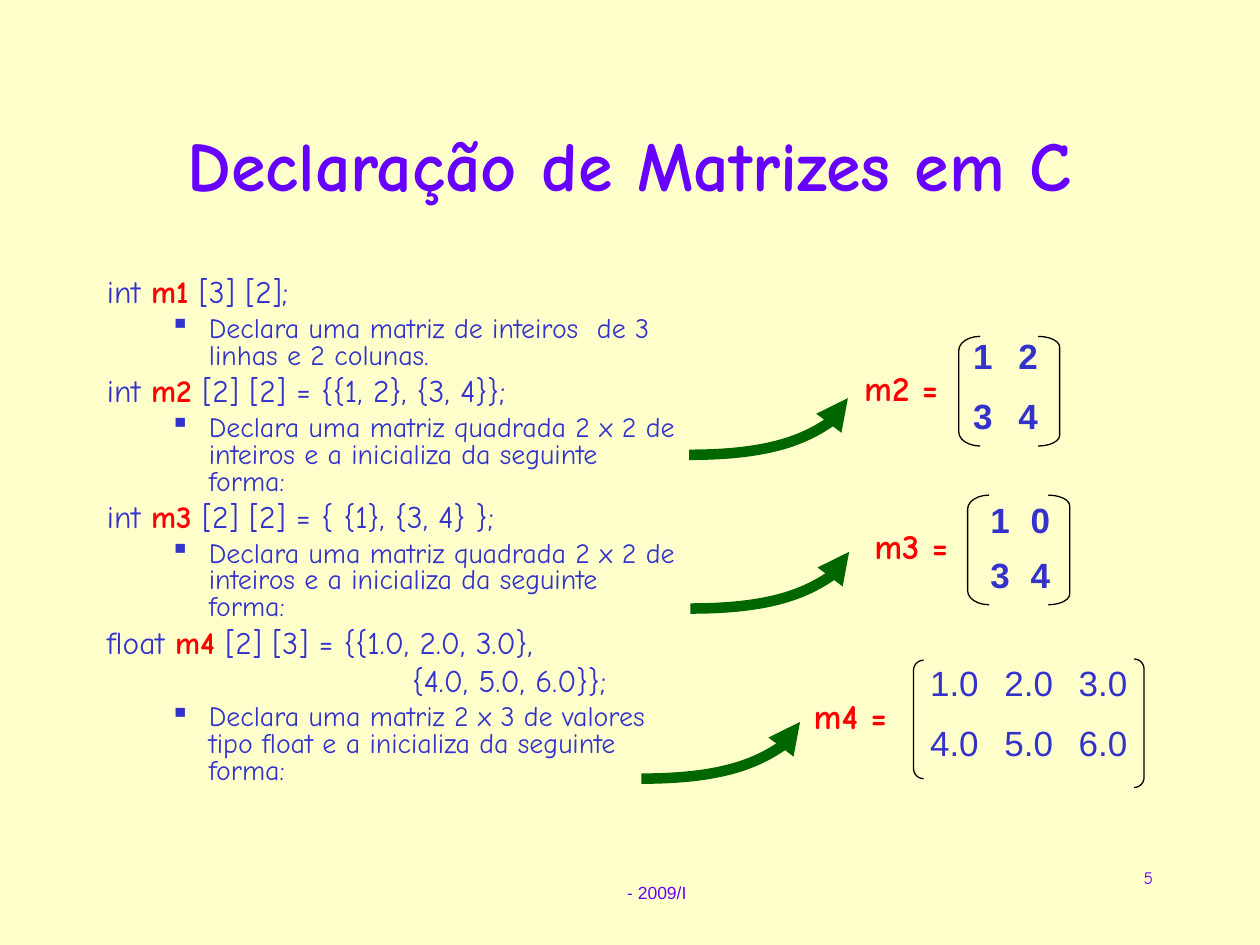
from lxml import etree
from pptx import Presentation
from pptx.dml.color import RGBColor
from pptx.enum.shapes import MSO_CONNECTOR, MSO_SHAPE
from pptx.enum.text import MSO_ANCHOR, PP_ALIGN
from pptx.oxml.ns import qn
from pptx.util import Inches, Pt

CREAM = RGBColor(0xFF, 0xFF, 0xCC)
PURPLE = RGBColor(0x66, 0x00, 0xFF)
BLUE = RGBColor(0x33, 0x33, 0xCC)
RED = RGBColor(0xFF, 0x00, 0x00)
GREEN = RGBColor(0x00, 0x66, 0x00)
BLACK = RGBColor(0x00, 0x00, 0x00)

LEFT, CENTER, RIGHT = PP_ALIGN.LEFT, PP_ALIGN.CENTER, PP_ALIGN.RIGHT
MIDDLE = MSO_ANCHOR.MIDDLE
CURVE = MSO_CONNECTOR.CURVE
LEFT_BRACKET, RIGHT_BRACKET = MSO_SHAPE.LEFT_BRACKET, MSO_SHAPE.RIGHT_BRACKET
HAND, SANS = "Comic Neue", "Arial"
NO_TABLE_STYLE = "{2D5ABB26-0587-4C30-8999-92F81FD0307C}"


def add_span(para, text, size, color, bold=False, font=HAND):
    span = para.add_run()
    span.text = text
    span.font.name = font
    span.font.size = Pt(size)
    span.font.bold = bold
    span.font.color.rgb = color


def add_box(left, top, width, height, wrap=True, align=LEFT):
    box = page.shapes.add_textbox(Inches(left), Inches(top), Inches(width), Inches(height))
    box.text_frame.word_wrap = wrap
    box.text_frame.paragraphs[0].alignment = align
    return box.text_frame


deck = Presentation()
deck.slide_width, deck.slide_height = Inches(10), Inches(7.5)
page = deck.slides.add_slide(deck.slide_layouts[6])
page.background.fill.solid()
page.background.fill.fore_color.rgb = CREAM

# Footer, title and page number
footer = add_box(4.88, 6.95, 0.67, 0.27, wrap=False)
add_span(footer.paragraphs[0], "- 2009/I", 10, PURPLE, font=SANS)
title = add_box(0.75, 0.67, 8.5, 1.25, align=CENTER)
title.vertical_anchor = MIDDLE
add_span(title.paragraphs[0], "Declaração de Matrizes em C", 40, PURPLE, bold=True)
number = add_box(7.17, 6.83, 2.08, 0.5, align=RIGHT)
add_span(number.paragraphs[0], "5", 10, PURPLE)

# Declarations: code lines as (type, name, rest), explanations as plain text
SQUARE_NOTE = "Declara uma matriz quadrada 2 x 2 de inteiros e a inicializa da seguinte forma:"
declarations = [
    ("int ", "m1", " [3] [2];"),
    "Declara uma matriz de inteiros  de 3 linhas e 2 colunas.",
    ("int ", "m2", " [2] [2] = {{1, 2}, {3, 4}};"),
    SQUARE_NOTE,
    ("int ", "m3", " [2] [2] = { {1}, {3, 4} };"),
    SQUARE_NOTE,
    ("float ", "m4", " [2] [3] = {{1.0, 2.0, 3.0},"),
    ("                             {4.0, 5.0, 6.0}};",),
    "Declara uma matriz 2 x 3 de valores tipo float e a inicializa da seguinte forma:",
]
body = add_box(0.75, 2.17, 4.72, 4.5)
for index, entry in enumerate(declarations):
    para = body.paragraphs[0] if index == 0 else body.add_paragraph()
    is_note = isinstance(entry, str)
    para.line_spacing = 0.8
    if index:
        para.space_before = Pt(4 if is_note else 4.5)
    margin, indent = (0.81, -0.31) if is_note else (0.38, -0.38)
    props = para._p.get_or_add_pPr()
    props.set("marL", str(Inches(margin)))
    props.set("indent", str(Inches(indent)))
    if is_note:
        para.level = 1
        etree.SubElement(props, qn("a:buChar")).set("char", "▪")
        add_span(para, entry, 16, BLUE)
    else:
        etree.SubElement(props, qn("a:buNone"))
        for position, piece in enumerate(entry):
            is_name = position == 1
            add_span(para, piece, 18, RED if is_name else BLUE, bold=is_name)

# Matrices: label place, table place, column width, row heights, bold, values,
# then brackets as (shape, left, top, width, height, roundness)
matrices = [
    ("m2 =", (6.76, 2.86), (7.62, 2.63), 0.36, (0.48, 0.47), True,
     [("1", "2"), ("3", "4")],
     [(LEFT_BRACKET, 7.61, 2.67, 0.17, 0.87, 0.65),
      (RIGHT_BRACKET, 8.24, 2.67, 0.17, 0.87, 0.5)]),
    ("m3 =", (6.84, 4.11), (7.76, 3.93), 0.32, (0.44, 0.47), True,
     [("1", "0"), ("3", "4")],
     [(LEFT_BRACKET, 7.68, 3.93, 0.17, 0.87, 0.65),
      (RIGHT_BRACKET, 8.32, 3.93, 0.17, 0.87, 0.5)]),
    ("m4 =", (6.36, 5.46), (7.28, 5.23), 0.59, (0.47, 0.47), False,
     [("1.0", "2.0", "3.0"), ("4.0", "5.0", "6.0")],
     [(LEFT_BRACKET, 7.25, 5.24, 0.08, 0.94, 1),
      (RIGHT_BRACKET, 9, 5.23, 0.08, 1.02, 1)]),
]
for label, label_at, table_at, col_width, row_heights, bold, values, brackets in matrices:
    name_box = add_box(*label_at, 0.79, 0.44, wrap=False)
    add_span(name_box.paragraphs[0], label, 20, RED, bold=True)

    count = len(values[0])
    frame = page.shapes.add_table(
        len(values), count, Inches(table_at[0]), Inches(table_at[1]),
        Inches(col_width * count), Inches(sum(row_heights)))
    table = frame.table
    table.first_row = table.horz_banding = False
    table._tbl.tblPr.find(qn("a:tableStyleId")).text = NO_TABLE_STYLE
    for column in table.columns:
        column.width = Inches(col_width)
    for row, height, numbers in zip(table.rows, row_heights, values):
        row.height = Inches(height)
        for cell, value in zip(row.cells, numbers):
            cell.fill.background()
            para = cell.text_frame.paragraphs[0]
            para.alignment = CENTER
            add_span(para, value, 20, BLUE, bold=bold, font=SANS)

    for kind, left, top, width, height, roundness in brackets:
        bracket = page.shapes.add_shape(
            kind, Inches(left), Inches(top), Inches(width), Inches(height))
        bracket.adjustments[0] = roundness
        bracket.shadow.inherit = False
        bracket.fill.background()
        bracket.line.color.rgb = BLACK
        bracket.line.width = Pt(0.75)

# Curved arrows from each explanation to its matrix
for left, bottom in [(5.47, 3.61), (5.48, 4.83), (5.09, 6.18)]:
    arrow = page.shapes.add_connector(
        CURVE, Inches(left), Inches(bottom), Inches(left + 1.26), Inches(bottom - 0.45))
    arrow.line.color.rgb = GREEN
    arrow.line.width = Pt(6)
    shape_props = arrow._element.spPr
    shape_props.find(qn("a:prstGeom")).set("prst", "curvedConnector2")
    etree.SubElement(arrow.line._get_or_add_ln(), qn("a:tailEnd")).set("type", "triangle")
    etree.SubElement(shape_props, qn("a:effectLst"))

deck.save("out.pptx")
